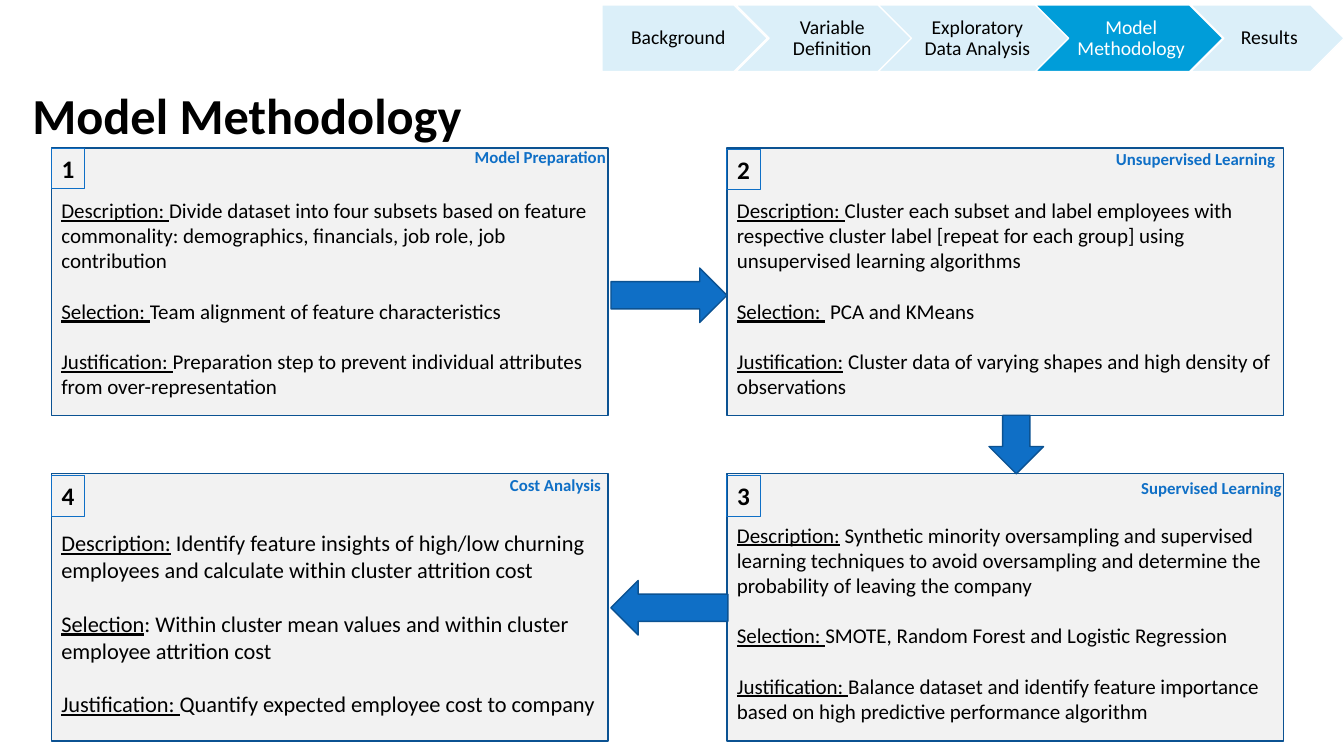
"""Builds the Model Methodology slide: a progress bar and four linked step cards."""
import pptx
import pptx.dml.color
import pptx.enum.shapes
import pptx.enum.text
import pptx.util

Inches = pptx.util.Inches
Pt = pptx.util.Pt
SHAPES = pptx.enum.shapes.MSO_SHAPE
ALIGN = pptx.enum.text.PP_ALIGN
ANCHOR = pptx.enum.text.MSO_ANCHOR

COLOURS = {
    "black": "000000", "white": "FFFFFF", "pale": "DBEFF9", "active": "009DD9",
    "card": "F2F2F2", "border": "0B5292", "accent": "0F6FC6",
}
CARD_WIDTH, CARD_HEIGHT = 5.52, 2.65
LEFT, RIGHT, TOP, BOTTOM = 0.51, 7.21, 1.47, 4.7

STAGES = [
    ("Background", 5.97, 1.64),
    ("Variable Definition", 7.3, 1.87),
    ("Exploratory Data Analysis", 8.71, 1.93),
    ("Model Methodology", 10.27, 1.86),
    ("Results", 11.81, 1.52),
]
CURRENT_STAGE = "Model Methodology"

CARDS = [
    {"number": "1", "corner": (LEFT, TOP), "size": 15, "inset": 0.49, "badge_top": 1.47,
     "label": ("Model Preparation", 4.61, 1.41, 1.51),
     "parts": [
         ("Description: ", "Divide dataset into four subsets based on feature commonality: "
          "demographics, financials, job role, job contribution"),
         ("Selection: ", "Team alignment of feature characteristics"),
         ("Justification: ", "Preparation step to prevent individual attributes from "
          "over-representation")]},
    {"number": "2", "corner": (RIGHT, TOP), "size": 15, "inset": 0.49, "badge_top": 1.48,
     "label": ("Unsupervised Learning", 10.97, 1.43, 1.82),
     "parts": [
         ("Description: ", "Cluster each subset and label employees with respective cluster "
          "label [repeat for each group] using unsupervised learning algorithms"),
         ("Selection: ", " PCA and KMeans"),
         ("Justification:", " Cluster data of varying shapes and high density of "
          "observations")]},
    {"number": "3", "corner": (RIGHT, BOTTOM), "size": 15, "inset": 0.48, "badge_top": 4.72,
     "label": ("Supervised Learning", 11.22, 4.69, 1.62),
     "parts": [
         ("Description:", " Synthetic minority oversampling and supervised learning "
          "techniques to avoid oversampling and determine the probability of leaving "
          "the company"),
         ("Selection: ", "SMOTE, Random Forest and Logistic Regression"),
         ("Justification: ", "Balance dataset and identify feature importance based on "
          "high predictive performance algorithm")]},
    {"number": "4", "corner": (LEFT, BOTTOM), "size": 16, "inset": 0.55, "badge_top": 4.72,
     "label": ("Cost Analysis", 4.96, 4.66, 1.24),
     "parts": [
         ("Description:", " Identify feature insights of high/low churning employees and "
          "calculate within cluster attrition cost"),
         ("Selection", ": Within cluster mean values and within cluster employee "
          "attrition cost"),
         ("Justification: ", "Quantify expected employee cost to company")]},
]

ARROWS = [
    (SHAPES.RIGHT_ARROW, 6.06, 2.66, 1.15, 0.54),
    (SHAPES.DOWN_ARROW, 9.81, 4.12, 0.54, 0.58),
    (SHAPES.LEFT_ARROW, 6.06, 5.76, 1.16, 0.54),
]


def colour(name):
    """Return the named colour."""
    return pptx.dml.color.RGBColor.from_string(COLOURS[name])


def style_font(font, size, shade="black", bold=False):
    """Set the typeface, size, colour and weight of a font."""
    font.name = "Calibri"
    font.size = Pt(size)
    font.color.rgb = colour(shade)
    font.bold = bold


def set_insets(frame, left, top, right, bottom):
    """Set the four text margins in inches."""
    frame.margin_left, frame.margin_top = Inches(left), Inches(top)
    frame.margin_right, frame.margin_bottom = Inches(right), Inches(bottom)


def add_panel(page, kind, left, top, width, height, fill, line, weight=1):
    """Add a flat preset shape, unfilled when fill is None."""
    shape = page.shapes.add_shape(
        kind, Inches(left), Inches(top), Inches(width), Inches(height))
    shape.shadow.inherit = False
    if fill:
        shape.fill.solid()
        shape.fill.fore_color.rgb = colour(fill)
    else:
        shape.fill.background()
    shape.line.color.rgb = colour(line)
    shape.line.width = Pt(weight)
    return shape


def add_title(page, text):
    """Place and format the slide title."""
    title = page.shapes.title
    title.left, title.top = Inches(0.22), Inches(0.48)
    title.width, title.height = Inches(12.2), Inches(1.39)
    frame = title.text_frame
    frame.text = text
    frame.auto_size = pptx.enum.text.MSO_AUTO_SIZE.NONE
    frame.vertical_anchor = ANCHOR.MIDDLE
    para = frame.paragraphs[0]
    para.alignment = ALIGN.LEFT
    para.line_spacing = 0.9
    style_font(para.font, 36, bold=True)


def add_stage(page, text, left, width):
    """Add one step of the progress bar."""
    kind = SHAPES.PENTAGON if text == STAGES[0][0] else SHAPES.CHEVRON
    current = text == CURRENT_STAGE
    stage = add_panel(page, kind, left, 0.05, width, 0.66,
                      "active" if current else "pale", "white")
    frame = stage.text_frame
    frame.text = text
    frame.word_wrap = True
    frame.vertical_anchor = ANCHOR.MIDDLE
    set_insets(frame, 0.06, 0.04, 0.02, 0.04)
    para = frame.paragraphs[0]
    para.alignment = ALIGN.CENTER
    para.line_spacing = 0.9
    style_font(para.font, 14, "white" if current else "black")


def add_card(page, card):
    """Add a step card with underlined lead words."""
    box = add_panel(page, SHAPES.RECTANGLE, *card["corner"], CARD_WIDTH, CARD_HEIGHT,
                    "card", "border")
    frame = box.text_frame
    frame.word_wrap = True
    frame.vertical_anchor = ANCHOR.TOP
    set_insets(frame, 0.1, card["inset"], 0.1, 0.05)
    for index, (lead, body) in enumerate(card["parts"]):
        para = frame.add_paragraph() if index else frame.paragraphs[0]
        para.alignment = ALIGN.LEFT
        para.space_before = Pt(card["size"] * 1.2 if index else 0)
        style_font(para.font, card["size"])
        span = para.add_run()
        span.text = lead
        span.font.underline = True
        para.add_run().text = body


def add_badge(page, card):
    """Add the number square in the corner of a card."""
    badge = add_panel(page, SHAPES.RECTANGLE, card["corner"][0], card["badge_top"],
                      0.33, 0.4, None, "accent", 0.75)
    frame = badge.text_frame
    frame.text = card["number"]
    frame.vertical_anchor = ANCHOR.TOP
    set_insets(frame, 0, 0.05, 0, 0.05)
    para = frame.paragraphs[0]
    para.alignment = ALIGN.CENTER
    style_font(para.font, 18, bold=True)


def add_label(page, text, left, top, width):
    """Add the heading at the upper right of a card."""
    box = page.shapes.add_textbox(Inches(left), Inches(top), Inches(width), Inches(0.3))
    box.text_frame.text = text
    box.text_frame.word_wrap = False
    style_font(box.text_frame.paragraphs[0].font, 12, "accent", True)


def main():
    """Build and save the slide."""
    deck = pptx.Presentation()
    deck.slide_width, deck.slide_height = Inches(13.33), Inches(7.5)
    page = deck.slides.add_slide(deck.slide_layouts.get_by_name("Title Only"))
    add_title(page, "Model Methodology")
    for stage in STAGES:
        add_stage(page, *stage)
    for card in CARDS:
        add_card(page, card)
    for arrow in ARROWS:
        add_panel(page, *arrow, "accent", "border")
    for card in CARDS:
        add_badge(page, card)
        add_label(page, *card["label"])
    deck.save("out.pptx")


if __name__ == "__main__":
    main()
